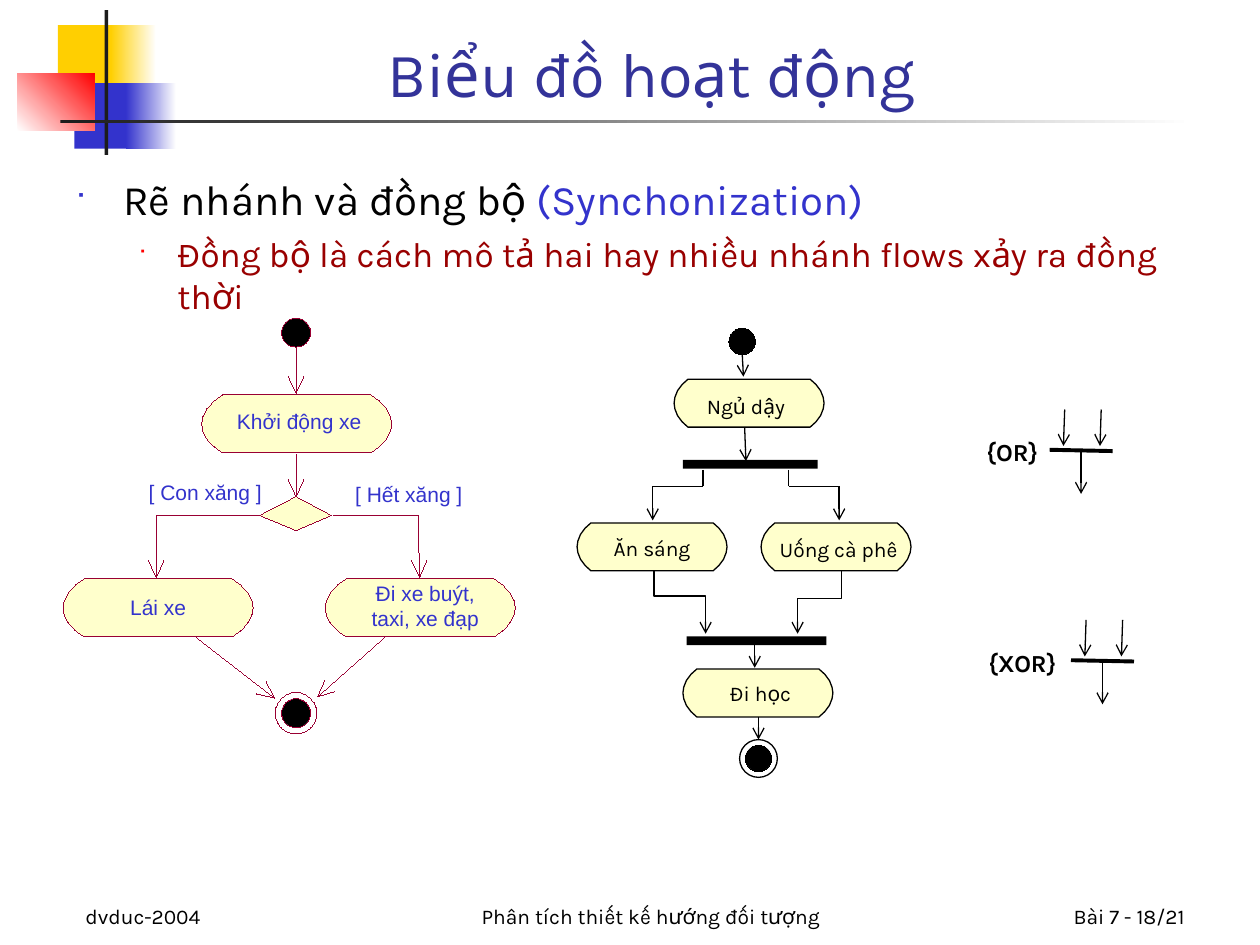
import dataclasses
import math

import lxml.etree
import pptx
import pptx.dml.color
import pptx.enum.shapes
import pptx.enum.text
import pptx.oxml.ns
import pptx.util

SHAPE = pptx.enum.shapes.MSO_SHAPE
ALIGN = pptx.enum.text.PP_ALIGN
ANCHOR = pptx.enum.text.MSO_ANCHOR
AUTO_SIZE = pptx.enum.text.MSO_AUTO_SIZE


@dataclasses.dataclass(frozen=True)
class Theme:
    font: str = "Karla"
    label_font: str = "Arial"
    bullet_font: str = "Wingdings"
    black: str = "000000"
    white: str = "FFFFFF"
    dark: str = "1C1C1C"
    blue: str = "3333CC"
    navy: str = "333399"
    gold: str = "FFCF01"
    red: str = "FF0000"
    maroon: str = "990000"
    wine: str = "990033"
    cream: str = "FFFFCC"
    title: int = 36
    body: int = 24
    detail: int = 20
    rule: int = 14
    small: int = 12
    hairline: float = 0
    thin: float = 0.75
    thick: float = 2.25


THEME = Theme()


def rgb(color):
    return pptx.dml.color.RGBColor.from_string(color)


def element(parent, tag, **attributes):
    return lxml.etree.SubElement(parent, pptx.oxml.ns.qn(tag), **attributes)


def write(p, text, size=THEME.small, color=THEME.black, font=THEME.font,
          bold=False, align=ALIGN.LEFT):
    p.alignment = align
    r = p.add_run()
    r.text = text
    r.font.size = pptx.util.Pt(size)
    r.font.color.rgb = rgb(color)
    r.font.name = font
    r.font.bold = bold


class Canvas:
    COLUMNS, ROWS = 100, 75

    def __init__(self, prs):
        self.cell_w = prs.slide_width / self.COLUMNS
        self.cell_h = prs.slide_height / self.ROWS
        self.slide = prs.slides.add_slide(prs.slide_layouts[6])
        self.shapes = self.slide.shapes
        self.line, self.weight = THEME.black, THEME.thin

    def group(self, line=THEME.black, weight=THEME.thin):
        self.shapes = self.slide.shapes.add_group_shape().shapes
        self.line, self.weight = line, weight

    def at(self, *lengths):
        cells = (self.cell_w, self.cell_h)
        return [round(n * cells[i % 2]) for i, n in enumerate(lengths)]

    def stroke(self, sp, weight=None, arrow=False):
        sp.line.color.rgb = rgb(self.line)
        width = pptx.util.Pt(self.weight if weight is None else weight)
        ln = sp._element.spPr.find(pptx.oxml.ns.qn("a:ln"))
        ln.set("w", str(int(width)))
        if arrow:
            element(ln, "a:tailEnd", type="arrow")

    def paint(self, sp, fill):
        sp.shadow.inherit = False
        if fill:
            sp.fill.solid()
            sp.fill.fore_color.rgb = rgb(fill)
        else:
            sp.fill.background()

    def block(self, x, y, w, h, fill, end=None, angle=0):
        sp = self.shapes.add_shape(SHAPE.RECTANGLE, *self.at(x, y, w, h))
        self.paint(sp, fill)
        sp.line.fill.background()
        if end:
            sp.fill.gradient()
            sp.fill.gradient_angle = angle
            for stop, color in zip(sp.fill.gradient_stops, (fill, end)):
                stop.color.rgb = rgb(color)

    def bar(self, x, y, w, h):
        self.block(x, y, w, h, THEME.black)

    def dot(self, cx, cy, d, fill=THEME.black, weight=THEME.hairline):
        box = self.at(cx - d / 2, cy - d / 2, d, d)
        sp = self.shapes.add_shape(SHAPE.OVAL, *box)
        self.paint(sp, fill)
        self.stroke(sp, weight)

    def outline(self, points, fill=None, closed=False, arrow=False):
        start, *rest = [self.at(*point) for point in points]
        builder = self.shapes.build_freeform(*start, scale=1.0)
        builder.add_line_segments(rest, close=closed)
        sp = builder.convert_to_shape()
        self.paint(sp, fill)
        self.stroke(sp, arrow=arrow)

    def activity(self, x, y, w, h, cut):
        corner = [(cut * a, h * b) for a, b in
                  ((1, 0), (0.58, 0.11), (0.25, 0.24), (0.06, 0.38), (0, 0.5))]
        left = corner + [(a, h - b) for a, b in corner[-2::-1]]
        right = [(w - a, b) for a, b in reversed(left)]
        self.outline([(x + a, y + b) for a, b in left + right],
                     THEME.cream, closed=True)

    def connector(self, x1, y1, x2, y2, weight=None, arrow=False):
        sp = self.shapes.add_connector(
            pptx.enum.shapes.MSO_CONNECTOR.STRAIGHT, *self.at(x1, y1, x2, y2))
        self.stroke(sp, weight, arrow)
        element(sp._element.spPr, "a:effectLst")

    def open_arrow(self, *points, barb=1.45, spread=25):
        (x1, y1), (x2, y2) = points[-2:]
        back = math.atan2(y1 - y2, x1 - x2)
        first, second = [
            (x2 + barb * math.cos(back + turn), y2 + barb * math.sin(back + turn))
            for turn in (math.radians(spread), -math.radians(spread))]
        self.outline([*points, first])
        self.connector(x2, y2, *second)

    def text(self, x, y, w, h, *lines, anchor=ANCHOR.TOP, **style):
        tf = self.shapes.add_textbox(*self.at(x, y, w, h)).text_frame
        tf.word_wrap = True
        tf.vertical_anchor = anchor
        for i, line in enumerate(lines):
            p = tf.add_paragraph() if i else tf.paragraphs[0]
            write(p, line, **style)
        return tf

    def label(self, x, y, w, *lines, slack=0.5, **style):
        tf = self.text(x - slack, y, w + 2 * slack, 2 * len(lines), *lines,
                       align=ALIGN.CENTER, **style)
        tf.margin_left = tf.margin_right = tf.margin_top = tf.margin_bottom = 0
        tf.word_wrap = False
        tf.auto_size = AUTO_SIZE.SHAPE_TO_FIT_TEXT

    def bullet(self, p, indent, hang, before, color, percent):
        p.space_before = pptx.util.Pt(before)
        pPr = p._p.get_or_add_pPr()
        pPr.set("marL", str(self.at(indent)[0]))
        pPr.set("indent", str(self.at(-hang)[0]))
        element(element(pPr, "a:buClr"), "a:srgbClr", val=color)
        element(pPr, "a:buSzPct", val=str(percent * 1000))
        element(pPr, "a:buFont", typeface=THEME.bullet_font)
        element(pPr, "a:buChar", char="■")


def draw_frame(c):
    t = THEME
    c.block(4.6, 2, 4.8, 5.2, t.gold)
    c.block(8.8, 2, 3.6, 5.2, t.gold, t.white)
    c.block(5.9, 6.6, 4.6, 5.2, t.blue)
    c.block(10, 6.6, 4, 5.2, t.blue, t.white)
    c.block(1.4, 5.8, 6.1, 4.6, t.white, t.red, angle=45)
    c.block(8.3, 0.8, 0.3, 11.5, t.dark)
    c.block(4.8, 9.5, 90, 0.3, t.dark, t.white)
    for x, w, line, align in (
            (5.8, 20.8, "dvduc-2004", ALIGN.LEFT),
            (32.5, 38.3, "Phân tích thiết kế hướng đối tượng", ALIGN.CENTER),
            (74.2, 20.8, "Bài 7 - 18/21", ALIGN.RIGHT)):
        c.text(x, 69.2, w, 5, line, anchor=ANCHOR.BOTTOM, align=align)


def draw_heading(c):
    t = THEME
    c.text(12.6, 0.8, 78.2, 8.4, "Biểu đồ hoạt động", anchor=ANCHOR.BOTTOM,
           size=t.title, color=t.navy, align=ALIGN.CENTER)
    tf = c.text(5, 13.3, 92.9, 55, "Rẽ nhánh và đồng bộ ", size=t.body)
    p = tf.paragraphs[0]
    write(p, "(Synchonization)", size=t.body, color=t.blue)
    c.bullet(p, 3.8, 3.8, 6, t.blue, 60)
    p = tf.add_paragraph()
    p.level = 1
    write(p, "Đồng bộ là cách mô tả hai hay nhiều nhánh flows xảy ra đồng thời",
          size=t.detail, color=t.maroon)
    c.bullet(p, 8.1, 3.1, 5, t.red, 55)


def draw_morning(c):
    c.group()
    c.dot(58.9, 27.1, 2.1)
    for x, y, label_x, label_y, label_w, line in (
            (53.5, 30.1, 55.9, 31.2, 6.6, "Ngủ dậy"),
            (45.8, 41.5, 48.6, 42.5, 6.3, "Ăn sáng"),
            (60.4, 41.5, 61.6, 42.6, 9.9, "Uống cà phê"),
            (54.2, 53.1, 57.9, 54, 4.9, "Đi học")):
        c.activity(x, y, 11.9, 3.8, 1.1)
        c.label(label_x, label_y, label_w, line)
    c.dot(60.2, 60.2, 3, fill=None, weight=THEME.thin)
    c.dot(60.2, 60.2, 2.1)
    c.bar(54.2, 36.5, 10.7, 0.7)
    c.bar(54.5, 50.5, 11.1, 0.7)
    for ends in ((58.9, 27.9, 59, 29.9), (59.1, 33.9, 59.2, 36.6),
                 (59.9, 51.2, 59.9, 53), (60.2, 56.9, 60.2, 58.7)):
        c.connector(*ends, arrow=True)
    for side in (1, -1):
        near, far = 59.2 + 3.4 * side, 59.2 + 7.4 * side
        c.connector(near, 37.3, near, 38.6)
        c.connector(near, 38.6, far, 38.6)
        c.connector(far, 38.6, far, 41.3, arrow=True)
    for x1, x2, turn in ((51.9, 56, 47.3), (66.8, 63.3, 47.5)):
        c.outline([(x1, 45.3), (x1, turn), (x2, turn), (x2, 50.3)], arrow=True)


def draw_join(c, line, x, y, label_x, label_w):
    c.group()
    c.text(label_x, y - 1.5, label_w, 3.3, line, size=THEME.rule, bold=True,
           align=ALIGN.CENTER)
    c.connector(x + 5, y + 0.1, x, y, weight=THEME.thick)
    for inflow in (x + 4.1, x + 1.2):
        c.connector(inflow, y - 3.2, inflow - 0.1, y - 0.3, arrow=True)
    c.connector(x + 2.5, y + 0.2, x + 2.5, y + 3.5, arrow=True)


def draw_driving(c):
    c.group(THEME.wine, THEME.hairline)
    c.dot(23.5, 26.4, 2.3)
    for x, y in ((16, 31.3), (5, 45.9), (25.8, 45.9)):
        c.activity(x, y, 15.1, 4.65, 1.7)
    c.outline([(20.6, 40.9), (23.5, 39.4), (26.3, 40.9), (23.5, 42.1)],
              THEME.cream, closed=True)
    c.dot(23.5, 56.6, 3.3, fill=None)
    c.dot(23.5, 56.6, 2.3)
    c.open_arrow((23.5, 27.6), (23.5, 31.2))
    c.open_arrow((23.5, 36.1), (23.5, 39.4))
    c.open_arrow((20.6, 40.9), (12.4, 40.9), (12.4, 45.8))
    c.open_arrow((26.5, 40.9), (33.2, 40.9), (33.3, 45.8))
    c.open_arrow((15.6, 50.6), (21.8, 55.4))
    c.open_arrow((30.5, 50.6), (25.2, 55.3))
    for x, y, w, *lines in (
            (18.8, 32.4, 9.9, "Khởi động xe"),
            (10.3, 47.2, 4.5, "Lái xe"),
            (29.5, 46.1, 8.5, "Đi xe buýt,", "taxi, xe đạp"),
            (11.8, 38.1, 9, "[ Con xăng ]"),
            (28.2, 38.2, 8.5, "[ Hết xăng ]")):
        c.label(x, y, w, *lines, font=THEME.label_font, color=THEME.blue)


def main():
    prs = pptx.Presentation()
    prs.slide_width = pptx.util.Inches(10)
    prs.slide_height = pptx.util.Inches(7.5)
    c = Canvas(prs)
    draw_frame(c)
    draw_heading(c)
    draw_morning(c)
    draw_join(c, "{OR}", 83.3, 35.7, 76.7, 7.3)
    draw_join(c, "{XOR}", 85, 52.4, 76.1, 10.1)
    draw_driving(c)
    prs.save("out.pptx")


if __name__ == "__main__":
    main()
